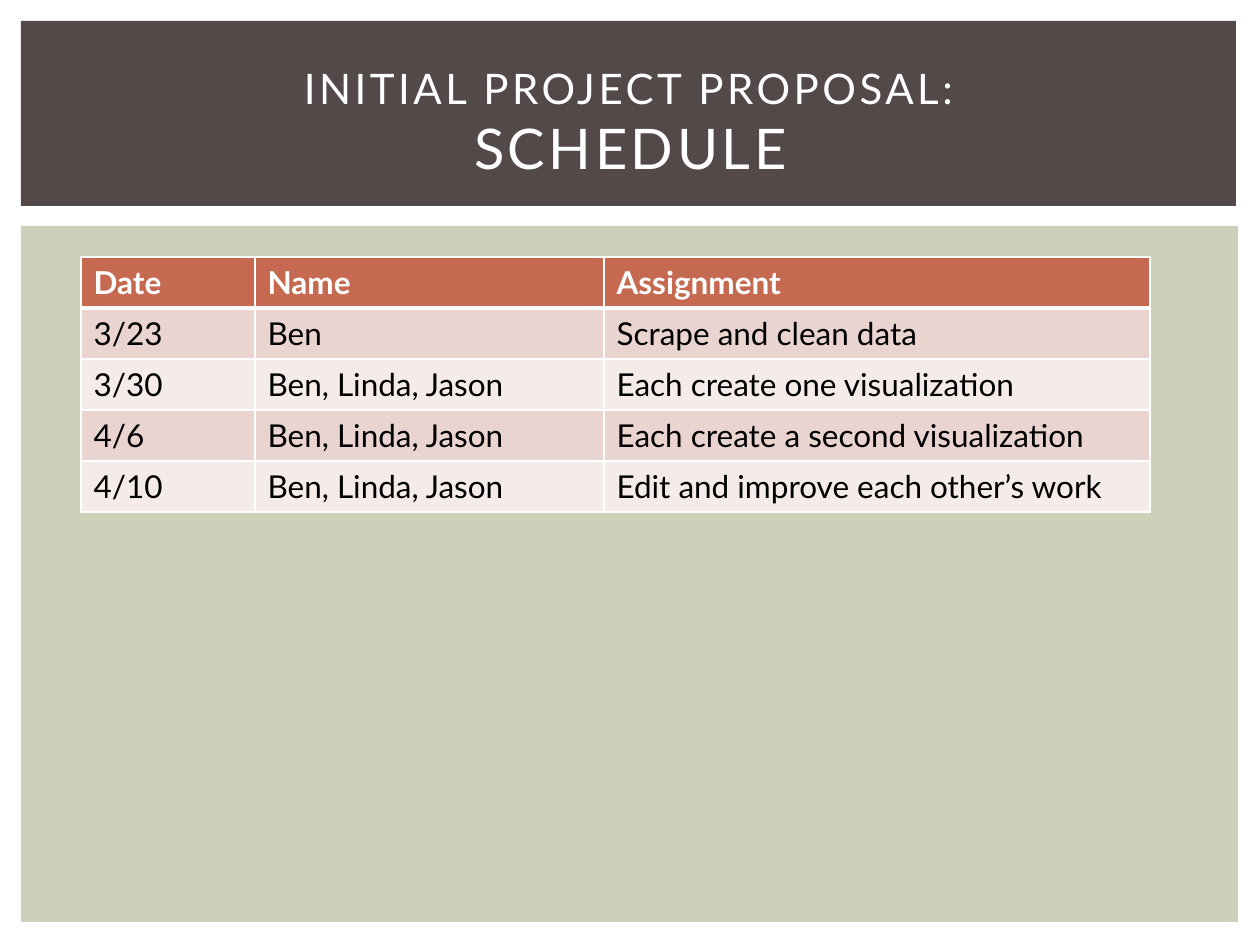
from copy import deepcopy

from lxml.etree import SubElement
from pptx import Presentation
from pptx.dml.color import RGBColor
from pptx.enum.shapes import MSO_SHAPE as Shape
from pptx.enum.text import MSO_ANCHOR as Anchor, MSO_AUTO_SIZE as AutoSize, PP_ALIGN as Align
from pptx.oxml.ns import qn
from pptx.util import Pt

TITLE = [("INITIAL PROJECT PROPOSAL:", "title_lead"), ("SCHEDULE", "title_main")]
SCHEDULE = [
    ("Date", "Name", "Assignment"),
    ("3/23", "Ben", "Scrape and clean data"),
    ("3/30", "Ben, Linda, Jason", "Each create one visualization"),
    ("4/6", "Ben, Linda, Jason", "Each create a second visualization"),
    ("4/10", "Ben, Linda, Jason", "Edit and improve each other’s work"),
]
COLUMNS = [174, 349, 546]
ROW_HEIGHT = 51
TABLE_ORIGIN = (81, 257)
TITLE_BOX = (53, 49, 1155, 145)
PANELS = [((21, 226, 1217, 696), "body"), ((21, 21, 1215, 185), "banner")]

THEME = {
    "font": "Lato",
    "colors": {
        "body": "CCD1B9", "banner": "534949", "header": "C66951",
        "bands": ["EAD4D0", "F5EBE9"], "light": "FFFFFF", "dark": "000000",
    },
    "sizes": {"title_lead": 24, "title_main": 32, "table": 18},
    "title_spacing": 2,
    "rules": {"thin": 1, "thick": 3},
}
COLORS = THEME["colors"]


def px(value):
    return round(value * 914400 / 126)


def rgb(name):
    return RGBColor.from_string(name)


def apply(target, formats):
    for name, value in formats.items():
        setattr(target, name, value)


def format_run(run, size, color, bold=False):
    apply(run.font, {"name": THEME["font"], "size": Pt(THEME["sizes"][size]), "bold": bold})
    run.font.color.rgb = rgb(color)


def add_panel(slide, box, color):
    panel = slide.shapes.add_shape(Shape.RECTANGLE, *map(px, box))
    panel.shadow.inherit = False
    panel.fill.solid()
    panel.fill.fore_color.rgb = rgb(COLORS[color])
    panel.line.fill.background()


def fill_title(slide):
    title = slide.shapes.title
    slide.shapes._spTree.append(title._element)
    apply(title, dict(zip(("left", "top", "width", "height"), map(px, TITLE_BOX))))
    frame = title.text_frame
    apply(frame, {"word_wrap": True, "auto_size": AutoSize.NONE, "vertical_anchor": Anchor.MIDDLE})
    paragraph = frame.paragraphs[0]
    apply(paragraph, {"alignment": Align.CENTER, "line_spacing": 1.0})
    for index, (text, size) in enumerate(TITLE):
        if index:
            paragraph.add_line_break()
            paragraph._p[-1].append(deepcopy(run._r.rPr))
        run = paragraph.add_run()
        run.text = text
        format_run(run, size, COLORS["light"])
        run._r.rPr.set("spc", str(THEME["title_spacing"] * 100))


def add_borders(cell, row):
    properties = cell._tc.get_or_add_tcPr()
    thick_side = {0: "B", 1: "T"}.get(row)
    for side in "LRTB":
        weight = THEME["rules"]["thick" if side == thick_side else "thin"]
        line = SubElement(properties, qn(f"a:ln{side}"), w=str(Pt(weight)))
        fill = SubElement(line, qn("a:solidFill"))
        SubElement(fill, qn("a:srgbClr"), val=COLORS["light"])


def add_schedule(slide):
    size = (sum(COLUMNS), ROW_HEIGHT * len(SCHEDULE))
    table = slide.shapes.add_table(
        len(SCHEDULE), len(COLUMNS), *map(px, TABLE_ORIGIN + size)
    ).table
    for column, width in zip(table.columns, COLUMNS):
        column.width = px(width)
    for row, texts in enumerate(SCHEDULE):
        table.rows[row].height = px(ROW_HEIGHT)
        header = row == 0
        background = COLORS["header"] if header else COLORS["bands"][(row - 1) % 2]
        for column, text in enumerate(texts):
            cell = table.cell(row, column)
            add_borders(cell, row)
            cell.fill.solid()
            cell.fill.fore_color.rgb = rgb(background)
            run = cell.text_frame.paragraphs[0].add_run()
            run.text = text
            format_run(run, "table", COLORS["light" if header else "dark"], header)


def main():
    presentation = Presentation()
    apply(presentation, {"slide_width": px(1260), "slide_height": px(945)})
    slide = presentation.slides.add_slide(presentation.slide_layouts[5])
    for box, color in PANELS:
        add_panel(slide, box, color)
    fill_title(slide)
    add_schedule(slide)
    presentation.save("out.pptx")


if __name__ == "__main__":
    main()
